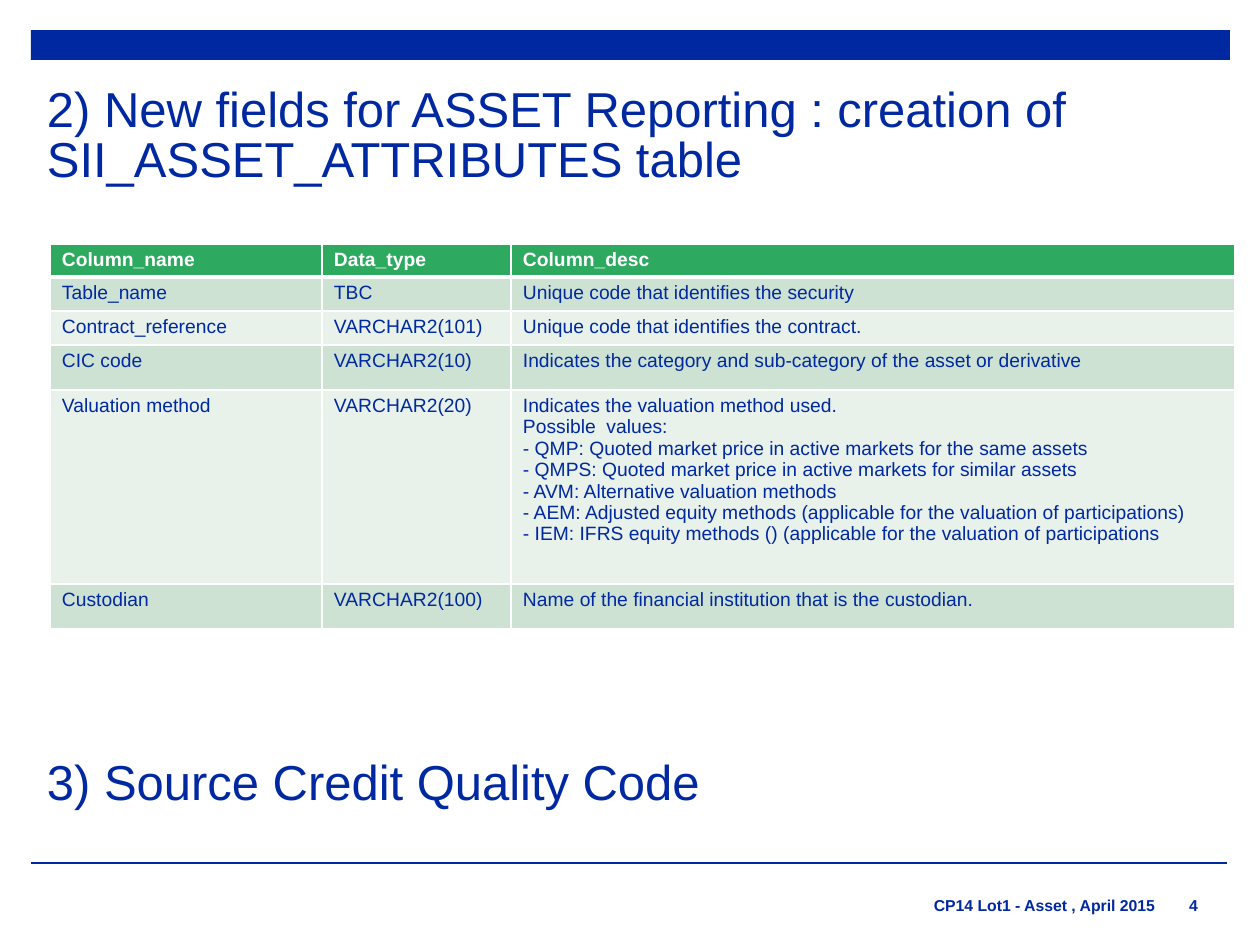
from lxml import etree
from pptx import Presentation
from pptx import util as u
from pptx.dml.color import RGBColor
from pptx.enum import shapes, text
from pptx.oxml import ns

PX = 914400 / 126
BLUE = RGBColor(0x00, 0x28, 0xA0)
GREEN = RGBColor(0x2D, 0xAA, 0x5F)
WHITE = RGBColor(0xFF, 0xFF, 0xFF)
BANDS = RGBColor(0xCD, 0xE2, 0xD2), RGBColor(0xE8, 0xF1, 0xEA)
HEADING = dict(size=28, spacing=0.85)
FOOTER = dict(size=9, bold=True)

COLUMNS = 272, 189, 724
ROWS = 33, 34, 34, 45, 194, 45
VALUATION = "Indicates the valuation method used.\nPossible  values:\n" + "\v".join([
    "- QMP: Quoted market price in active markets for the same assets",
    "- QMPS: Quoted market price in active markets for similar assets",
    "- AVM: Alternative valuation methods",
    "- AEM: Adjusted equity methods (applicable for the valuation of participations)",
    "- IEM: IFRS equity methods () (applicable for the valuation of participations",
])
FIELDS = [
    ("Column_name", "Data_type", "Column_desc"),
    ("Table_name", "TBC", "Unique code that identifies the security"),
    ("Contract_reference", "VARCHAR2(101)", "Unique code that identifies the contract."),
    ("CIC code", "VARCHAR2(10)",
     "Indicates the category and sub-category of the asset or derivative"),
    ("Valuation method", "VARCHAR2(20)", VALUATION),
    ("Custodian", "VARCHAR2(100)", "Name of the financial institution that is the custodian."),
]


def px(*lengths):
    """Turn pixel lengths into EMU."""
    return [u.Emu(round(n * PX)) for n in lengths]


def write(tf, words, size, color=BLUE, bold=False, align=text.PP_ALIGN.LEFT, spacing=1.0):
    """Fill a text frame with uniformly formatted paragraphs."""
    tf.text = words
    for p in tf.paragraphs:
        p.alignment, p.line_spacing = align, spacing
        p.space_before = p.space_after = u.Pt(0)
        for r in p.runs:
            for name, value in dict(name="Arial", size=u.Pt(size), bold=bold).items():
                setattr(r.font, name, value)
            r.font.color.rgb = color


def fit_text(sp, box, words, **style):
    """Place a text shape without insets and write in it."""
    sp.left, sp.top, sp.width, sp.height = px(*box)
    tf = sp.text_frame
    frame = dict(margin_left=0, margin_top=0, margin_right=0, margin_bottom=0,
                 word_wrap=True, vertical_anchor=text.MSO_ANCHOR.TOP,
                 auto_size=text.MSO_AUTO_SIZE.NONE)
    for name, value in frame.items():
        setattr(tf, name, value)
    write(tf, words, **style)


def add_text(s, box, words, **style):
    """Add a text box."""
    fit_text(s.shapes.add_textbox(0, 0, 0, 0), box, words, **style)


def add_header(s, x, y, w, h):
    """Draw the band at the top."""
    sp = s.shapes.add_shape(shapes.MSO_SHAPE.RECTANGLE, *px(x, y, w, h))
    sp.shadow.inherit = False
    sp.fill.solid()
    sp.fill.fore_color.rgb = BLUE
    sp.line.fill.background()


def add_footer(s, x, y, w):
    """Draw the rule with the footer text and page number below it."""
    rule = s.shapes.add_connector(shapes.MSO_CONNECTOR.STRAIGHT, *px(x, y, x + w, y))
    rule.line.color.rgb = BLUE
    rule.line.width = u.Pt(1)
    etree.SubElement(rule.element.spPr, ns.qn("a:effectLst"))
    add_text(s, (x + w - 702, y + 33, 630, 21), "CP14 Lot1 - Asset , April 2015",
             align=text.PP_ALIGN.RIGHT, **FOOTER)
    add_text(s, (x + w - 44, y + 33, 21, 21), "4", align=text.PP_ALIGN.CENTER, **FOOTER)


def set_borders(cell, top, bottom):
    """Give a cell white borders of the given point widths."""
    tc_pr = cell._tc.get_or_add_tcPr()
    for side, width in dict(L=1, R=1, T=top, B=bottom).items():
        ln = etree.SubElement(tc_pr, ns.qn(f"a:ln{side}"), w=str(u.Pt(width)))
        fill = etree.SubElement(ln, ns.qn("a:solidFill"))
        etree.SubElement(fill, ns.qn("a:srgbClr"), val=str(WHITE))


def add_fields_table(s, x, y):
    """Build the banded table of new fields."""
    frame = s.shapes.add_table(len(ROWS), len(COLUMNS), *px(x, y, sum(COLUMNS), sum(ROWS)))
    table = frame.table
    for column, width in zip(table.columns, px(*COLUMNS)):
        column.width = width
    for i, (row, height) in enumerate(zip(table.rows, px(*ROWS))):
        row.height = height
        head = i == 0
        for cell, words in zip(row.cells, FIELDS[i]):
            set_borders(cell, 3 if i == 1 else 1, 3 if head else 1)
            cell.fill.solid()
            cell.fill.fore_color.rgb = GREEN if head else BANDS[(i - 1) % 2]
            cell.margin_left, cell.margin_right, cell.margin_top, cell.margin_bottom = px(12, 12, 5, 5)
            write(cell.text_frame, words, 11, WHITE if head else BLUE, head)


def main():
    """Build the slide and save it."""
    prs = Presentation()
    prs.slide_width, prs.slide_height = px(1260, 945)
    s = prs.slides.add_slide(prs.slide_layouts[5])
    add_header(s, 31, 30, 1199, 30)
    fit_text(s.shapes.title, (47, 88, 1134, 101),
             "2) New fields for ASSET Reporting : creation of SII_ASSET_ATTRIBUTES table", **HEADING)
    add_fields_table(s, 50, 244)
    add_text(s, (47, 761, 1134, 50), "3) Source Credit Quality Code", **HEADING)
    add_footer(s, 31, 863, 1196)
    prs.save("out.pptx")


if __name__ == "__main__":
    main()
